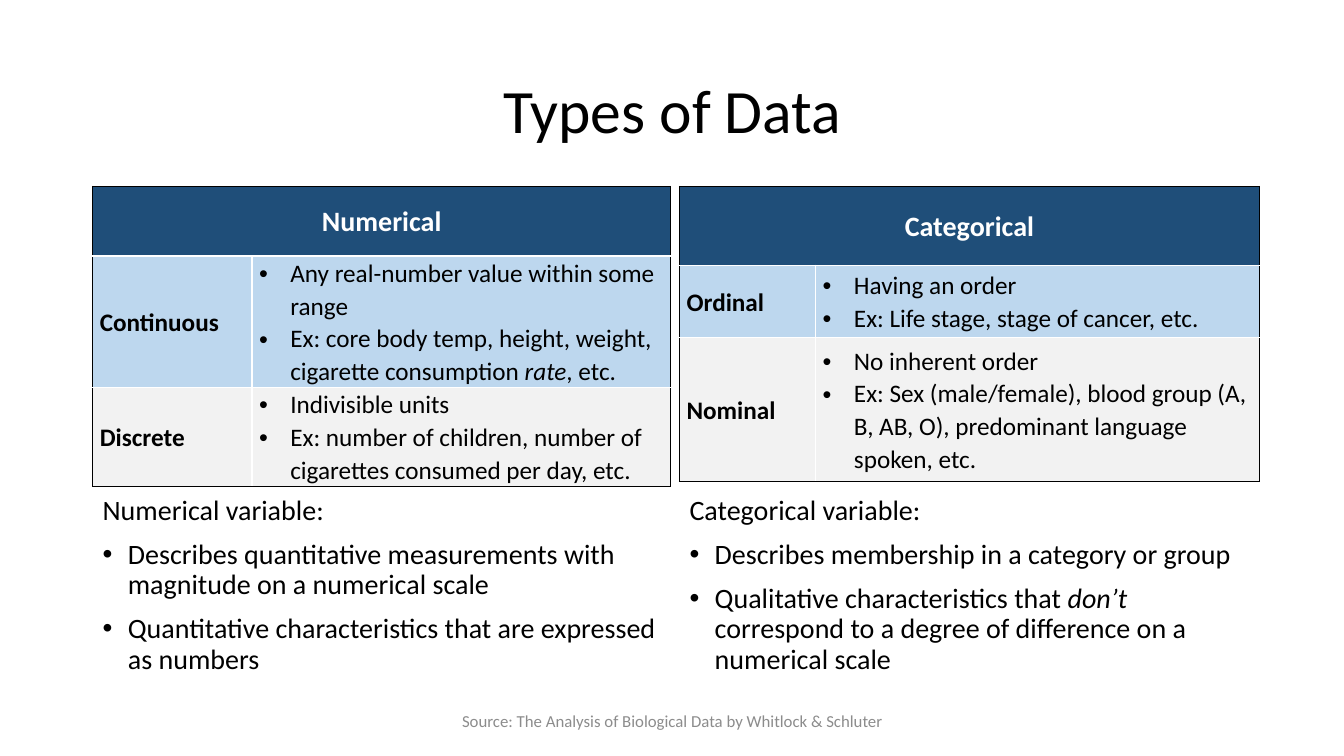
"""Build a slide that compares numerical and categorical data."""
from dataclasses import dataclass

from lxml.etree import SubElement
from pptx import Presentation
from pptx.dml.color import RGBColor
from pptx.enum.text import MSO_ANCHOR, PP_ALIGN
from pptx.oxml.ns import qn
from pptx.util import Inches, Pt

COLORS = {
    "black": "000000", "white": "FFFFFF", "gray": "8C8C8C",
    "head": "1F4E79", "blue": "BDD7EE", "pale": "F2F2F2",
}
FILLS = ("head", "blue", "pale")


@dataclass(frozen=True)
class Style:
    size: float
    color: str = "black"
    bold: bool = False
    align: PP_ALIGN = PP_ALIGN.LEFT
    line: float = 1.0
    before: float = 0
    indent: float = 0


@dataclass(frozen=True)
class Kind:
    label: str
    points: tuple[str, ...]


@dataclass(frozen=True)
class Panel:
    name: str
    left: float
    high: float
    cols: tuple[float, float]
    rows: tuple[float, float, float]
    kinds: tuple[Kind, Kind]
    width: float
    notes: tuple[str, ...]


TITLE = Style(44, align=PP_ALIGN.CENTER, line=0.9)
HEAD = Style(20, "white", True, PP_ALIGN.CENTER, 1.07)
LABEL = Style(18, bold=True, line=1.07)
POINT = Style(18, line=1.07, indent=0.31)
LEAD = Style(20, line=0.9, before=10)
NOTE = Style(20, line=0.9, before=10, indent=0.25)
SOURCE = Style(12, "gray", align=PP_ALIGN.CENTER)

PANELS = (
    Panel(
        "Numerical", 0.92, 2.94, (1.58, 4.15), (0.69, 1.27, 0.98),
        (
            Kind("Continuous", (
                "Any real-number value within some range",
                "Ex: core body temp, height, weight, cigarette consumption *rate*, etc.",
            )),
            Kind("Discrete", (
                "Indivisible units",
                "Ex: number of children, number of cigarettes consumed per day, etc.",
            )),
        ),
        5.73,
        (
            "Describes quantitative measurements with magnitude on a numerical scale",
            "Quantitative characteristics that are expressed as numbers",
        ),
    ),
    Panel(
        "Categorical", 6.74, 2.93, (1.35, 4.4), (0.78, 0.72, 1.43),
        (
            Kind("Ordinal", (
                "Having an order",
                "Ex: Life stage, stage of cancer, etc.",
            )),
            Kind("Nominal", (
                "No inherent order",
                "Ex: Sex (male/female), blood group (A, B, AB, O), "
                "predominant language spoken, etc.",
            )),
        ),
        5.78,
        (
            "Describes membership in a category or group",
            "Qualitative characteristics that *don’t* correspond to a degree "
            "of difference on a numerical scale",
        ),
    ),
)


def write(frame, items: list[tuple[str, Style]]) -> None:
    """Fill a text frame with styled paragraphs; asterisks mark italics."""
    frame.word_wrap = True
    for row, (text, style) in enumerate(items):
        para = frame.add_paragraph() if row else frame.paragraphs[0]
        first, *rest = text.split("*")
        para.text = first
        for part in rest:
            para.add_run().text = part
        para.alignment = style.align
        para.line_spacing = style.line
        para.space_before = Pt(style.before)
        for spot, run in enumerate(para.runs):
            font = run.font
            font.name = "Calibri"
            font.size = Pt(style.size)
            font.bold = style.bold
            font.italic = spot % 2 == 1
            font.color.rgb = RGBColor.from_string(COLORS[style.color])
        if style.indent:
            props = para._p.get_or_add_pPr()
            props.set("marL", str(Inches(style.indent)))
            props.set("indent", str(-Inches(style.indent)))
            SubElement(props, qn("a:buFont"), typeface="Arial")
            SubElement(props, qn("a:buChar"), char="•")


def edge(cell, sides: dict[str, str]) -> None:
    """Draw one-point borders on a cell."""
    props = cell._tc.get_or_add_tcPr()
    for side, color in sides.items():
        line = SubElement(props, qn(f"a:ln{side}"), w=str(Pt(1)))
        fill = SubElement(line, qn("a:solidFill"))
        SubElement(fill, qn("a:srgbClr"), val=COLORS[color])


def add_box(slide, box: tuple[float, ...], items: list[tuple[str, Style]],
            anchor: MSO_ANCHOR = MSO_ANCHOR.TOP) -> None:
    """Add a text box at the given place."""
    frame = slide.shapes.add_textbox(*map(Inches, box)).text_frame
    write(frame, items)
    frame.vertical_anchor = anchor


def add_grid(slide, panel: Panel) -> None:
    """Add the table of one panel."""
    place = (panel.left, 1.85, sum(panel.cols), panel.high)
    table = slide.shapes.add_table(3, 2, *map(Inches, place)).table
    for col, width in zip(table.columns, panel.cols):
        col.width = Inches(width)
    for row, height in zip(table.rows, panel.rows):
        row.height = Inches(height)
    table.cell(0, 0).merge(table.cell(0, 1))
    texts = {(0, 0): [(panel.name, HEAD)]}
    for row, kind in enumerate(panel.kinds, 1):
        texts[row, 0] = [(kind.label, LABEL)]
        texts[row, 1] = [(point, POINT) for point in kind.points]
    for row, fill in enumerate(FILLS):
        for col in range(2):
            cell = table.cell(row, col)
            edge(cell, {
                "L": "black" if col == 0 or row == 0 else "white",
                "R": "black" if col == 1 or row == 0 else "white",
                "T": "black" if row == 0 else "white",
                "B": "black" if row == 2 else "white",
            })
            cell.fill.solid()
            cell.fill.fore_color.rgb = RGBColor.from_string(COLORS[fill])
            cell.vertical_anchor = MSO_ANCHOR.MIDDLE
            cell.margin_left = cell.margin_right = Inches(0.07)
            cell.margin_top = cell.margin_bottom = 0
            if (row, col) in texts:
                write(cell.text_frame, texts[row, col])


def main() -> None:
    """Build and save the slide."""
    deck = Presentation()
    deck.slide_width, deck.slide_height = Inches(13.33), Inches(7.5)
    slide = deck.slides.add_slide(deck.slide_layouts[5])
    title = slide.shapes.title
    title.left, title.top, title.width, title.height = map(
        Inches, (0.92, 0.4, 11.5, 1.45))
    write(title.text_frame, [("Types of Data", TITLE)])
    title.text_frame.vertical_anchor = MSO_ANCHOR.MIDDLE
    for panel in PANELS:
        add_grid(slide, panel)
        lines = [(f"{panel.name} variable:", LEAD)]
        lines += [(note, NOTE) for note in panel.notes]
        add_box(slide, (panel.left, 4.87, panel.width, 2.08), lines)
    credit = "Source: The Analysis of Biological Data by Whitlock & Schluter"
    add_box(slide, (4.42, 6.95, 4.5, 0.4), [(credit, SOURCE)], MSO_ANCHOR.MIDDLE)
    deck.save("out.pptx")


if __name__ == "__main__":
    main()
